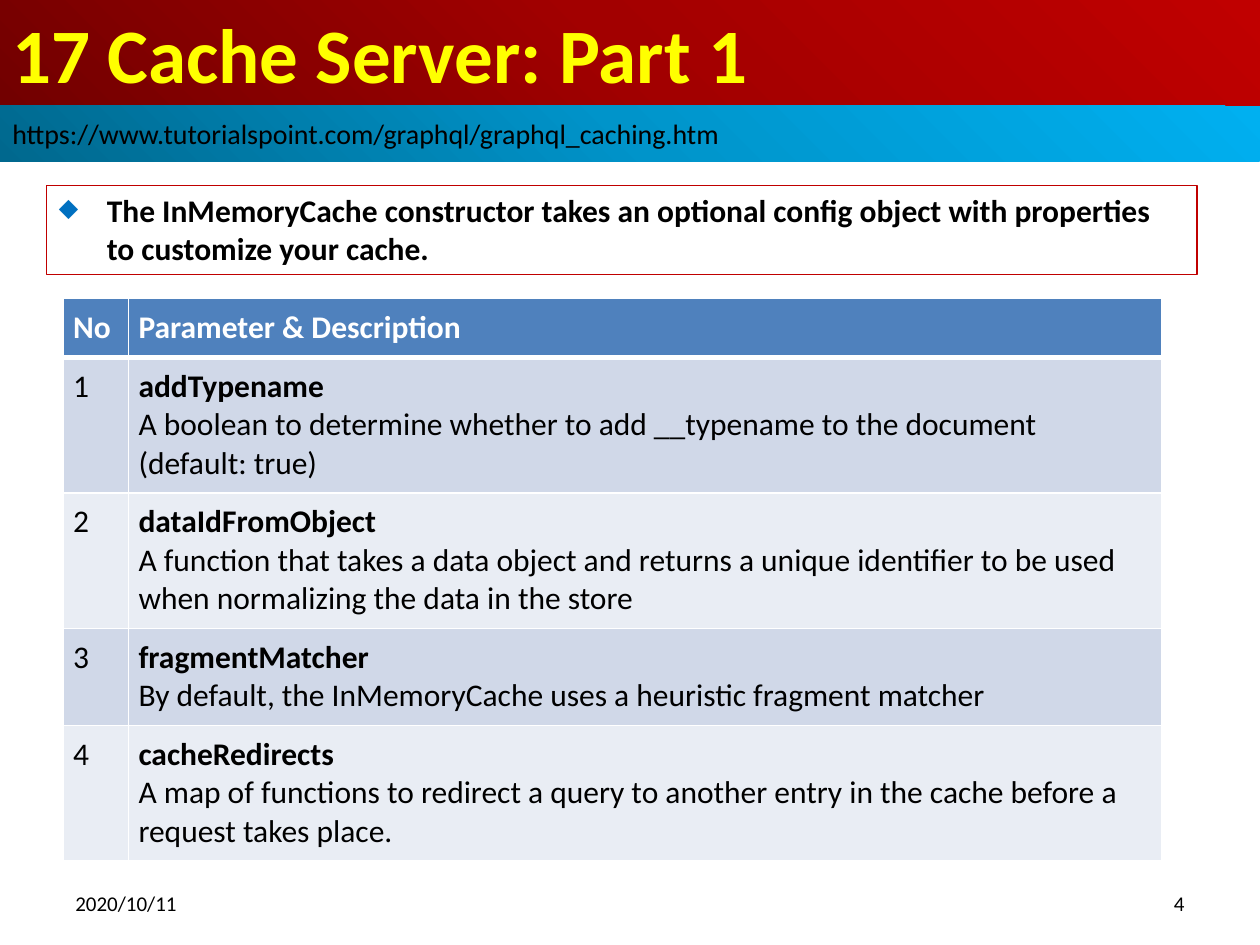
from lxml import etree
from pptx import Presentation
from pptx.dml.color import RGBColor
from pptx.enum import shapes, text
from pptx.oxml.ns import qn
from pptx.util import Inches, Pt

BLACK = RGBColor(0, 0, 0)
WHITE = RGBColor(0xFF, 0xFF, 0xFF)
YELLOW = RGBColor(0xFF, 0xFF, 0)
RED = RGBColor(0xC0, 0, 0)
BLUE = RGBColor(0, 0x70, 0xC0)
HEADER = RGBColor(0x4F, 0x81, 0xBD)
BANDS = [RGBColor(0xE9, 0xED, 0xF4), RGBColor(0xD0, 0xD8, 0xE8)]
RED_STOPS = [RGBColor(0x72, 0, 0), RGBColor(0xA2, 0, 0), RED]
BLUE_STOPS = [RGBColor(0, 0x68, 0x8E), RGBColor(0, 0x94, 0xCA), RGBColor(0, 0xB0, 0xF0)]


def add(parent, tag, **attrs):
    return etree.SubElement(parent, qn(tag), attrs)


def write(tf, content, size=18, color=BLACK, bold=False, align=text.PP_ALIGN.LEFT,
          anchor=text.MSO_ANCHOR.MIDDLE, more=False):
    """Fill the first paragraph, or append a paragraph when more is set."""
    tf.word_wrap = True
    tf.vertical_anchor = anchor
    p = tf.add_paragraph() if more else tf.paragraphs[0]
    p.alignment = align
    r = p.add_run()
    r.text = content
    r.font.name, r.font.size, r.font.bold = "Calibri", Pt(size), bold
    r.font.color.rgb = color


prs = Presentation()
prs.slide_width, prs.slide_height = Inches(10), Inches(7.5)
s = prs.slides.add_slide(prs.slide_layouts[6])

# Title and link bands, shaded outwards from the bottom left corner
bands = [
    (0, 0.84, RED_STOPS, "17 Cache Server: Part 1", 44, YELLOW, True),
    (0.84, 0.44, BLUE_STOPS, "https://www.tutorialspoint.com/graphql/graphql_caching.htm",
     16, BLACK, False),
]
for top, height, stops, content, size, color, bold in bands:
    sp = s.shapes.add_shape(shapes.MSO_SHAPE.RECTANGLE, 0, Inches(top), Inches(10), Inches(height))
    sp.shadow.inherit = False
    sp.fill.gradient()
    grad = sp._element.spPr.find(qn("a:gradFill"))
    for child in list(grad):
        grad.remove(child)
    stop_list = add(grad, "a:gsLst")
    for pos, stop in zip((0, 50000, 100000), stops):
        add(add(stop_list, "a:gs", pos=str(pos)), "a:srgbClr", val=str(stop))
    add(add(grad, "a:path", path="circle"), "a:fillToRect", t="100000", r="100000")
    sp.line.fill.background()
    write(sp.text_frame, content, size=size, color=color, bold=bold)

# Introduction
sp = s.shapes.add_shape(shapes.MSO_SHAPE.RECTANGLE,
                        Inches(0.37), Inches(1.47), Inches(9.13), Inches(0.71))
sp.shadow.inherit = False
sp.fill.background()
sp.line.color.rgb = RED
sp.line.width = Pt(0.75)
pPr = sp.text_frame.paragraphs[0]._p.get_or_add_pPr()
pPr.set("marL", str(Inches(0.38)))
pPr.set("indent", str(Inches(-0.38)))
add(add(pPr, "a:buClr"), "a:srgbClr", val=str(BLUE))
add(pPr, "a:buSzPct", val="80000")
add(pPr, "a:buChar", char="◆")
write(sp.text_frame, "The InMemoryCache constructor takes an optional config object "
      "with properties to customize your cache.", bold=True, anchor=text.MSO_ANCHOR.TOP)

# Parameter table
rows = [
    ("No", ["Parameter & Description"]),
    ("1", ["addTypename",
           "A boolean to determine whether to add __typename to the document (default: true)"]),
    ("2", ["dataIdFromObject",
           "A function that takes a data object and returns a unique identifier to be used "
           "when normalizing the data in the store"]),
    ("3", ["fragmentMatcher", "By default, the InMemoryCache uses a heuristic fragment matcher"]),
    ("4", ["cacheRedirects",
           "A map of functions to redirect a query to another entry in the cache before a "
           "request takes place."]),
]
frame = s.shapes.add_table(len(rows), 2, Inches(0.5), Inches(2.37), Inches(8.72), Inches(4.43))
table = frame.table
table.columns[0].width, table.columns[1].width = Inches(0.52), Inches(8.2)
for i, (number, lines) in enumerate(rows):
    table.rows[i].height = Inches(0.41)
    for j, paragraphs in enumerate(([number], lines)):
        cell = table.cell(i, j)
        cell.margin_left = cell.margin_right = Inches(0.08)
        cell.margin_top = cell.margin_bottom = Inches(0.08)
        tcPr = cell._tc.get_or_add_tcPr()
        for side in "LRTB":
            thick = (i, side) in ((0, "B"), (1, "T"))
            ln = add(tcPr, f"a:ln{side}", w=str(Pt(3 if thick else 1)))
            add(add(ln, "a:solidFill"), "a:srgbClr", val=str(WHITE))
        cell.fill.solid()
        cell.fill.fore_color.rgb = BANDS[i % 2] if i else HEADER
        for k, line in enumerate(paragraphs):
            write(cell.text_frame, line, color=BLACK if i else WHITE,
                  bold=i == 0 or (j == 1 and k == 0),
                  anchor=text.MSO_ANCHOR.TOP, more=k > 0)
frame.height = Inches(4.43)

# Footer
for left, content, align in ((0.5, "2020/10/11", text.PP_ALIGN.LEFT),
                             (7.17, "4", text.PP_ALIGN.RIGHT)):
    box = s.shapes.add_textbox(Inches(left), Inches(6.95), Inches(2.33), Inches(0.44))
    write(box.text_frame, content, size=12, align=align)

prs.save("out.pptx")
